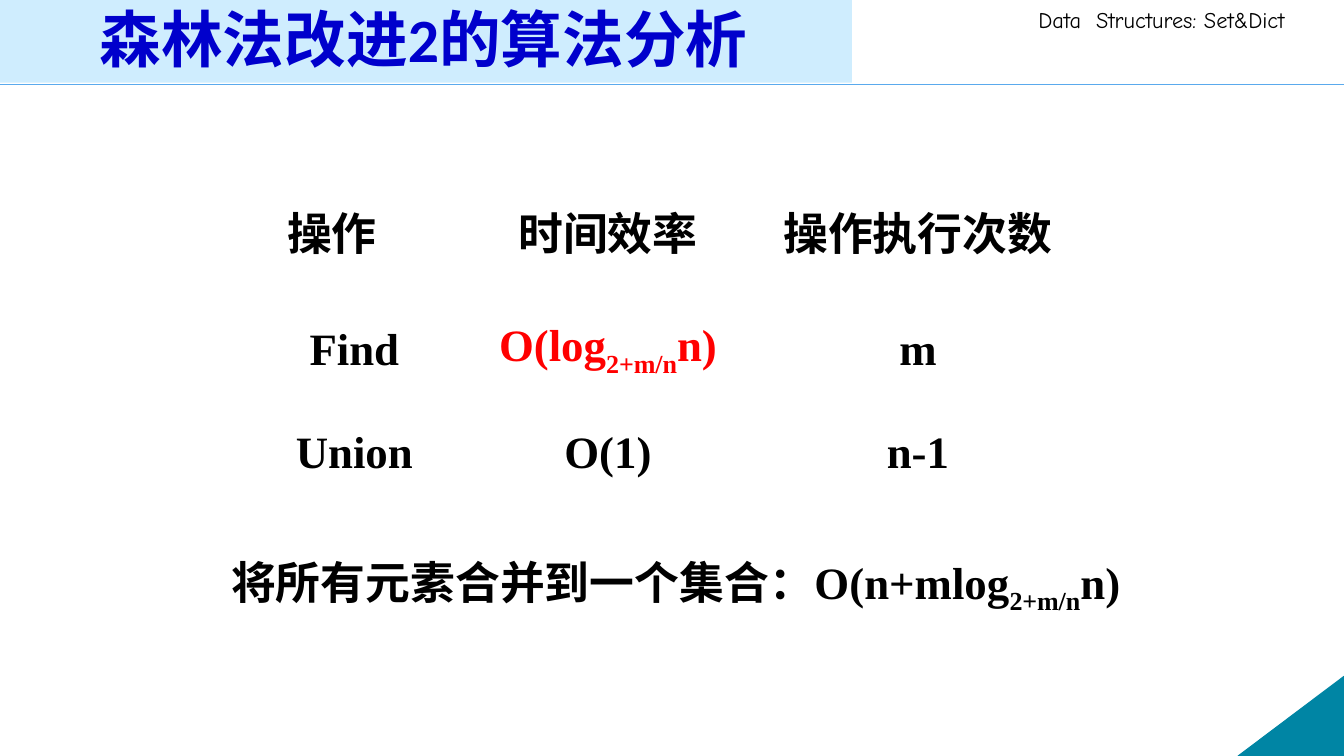
from pptx import Presentation
from pptx.dml.color import RGBColor
from pptx.enum.lang import MSO_LANGUAGE_ID
from pptx.enum.shapes import MSO_CONNECTOR, MSO_SHAPE
from pptx.enum.text import MSO_ANCHOR, PP_ALIGN
from pptx.oxml import parse_xml
from pptx.oxml.ns import nsdecls
from pptx.util import Inches, Pt
from lxml.etree import SubElement

THEME = {
    "band": "CFEDFE", "rule": "5AAAED", "corner": "0085A4", "edge": "FFFFFF",
    "title": ("Calibri", 44, "0000CC", True),
    "head": ("Comic Neue", 16, "000000", False),
    "body": ("Times New Roman", 32, "000000", True),
    "key": ("Times New Roman", 32, "FF0000", True),
}

WIDTH, HEIGHT = 13.33, 7.5
TITLE = [("森林法改进2的算法分析", False)]
HEAD = [("Data  Structures: Set&Dict", False)]
BASE = "2+m/n"
ROWS = [
    ["操作　", "时间效率", "操作执行次数"],
    ["Find", [("O(log", False), (BASE, True), ("n)", False)], "m"],
    ["Union", "O(1)", "n-1"],
]
KEY = (1, 1)
TOTAL = [("　将所有元素合并到一个集合：O(n+mlog", False), (BASE, True), ("n)", False)]
COLS = [2.51, 2.52, 3.63]
TALL = [1.27, 1.1, 0.94]


def color(name):
    return RGBColor.from_string(name)


def write(para, runs, style):
    face, size, ink, bold = THEME[style]
    for text, sub in runs:
        run = para.add_run()
        run.text = text
        font = run.font
        font.name, font.size, font.bold = face, Pt(size), bold
        font.color.rgb = color(ink)
        font.language_id = MSO_LANGUAGE_ID.SIMPLIFIED_CHINESE
        if sub:
            run._r.get_or_add_rPr().set("baseline", "-25000")


def label(slide, box, runs, style, wrap=True):
    frame = slide.shapes.add_textbox(*map(Inches, box)).text_frame
    frame.word_wrap = wrap
    write(frame.paragraphs[0], runs, style)
    return frame


def block(slide, kind, box, fill):
    shape = slide.shapes.add_shape(kind, *map(Inches, box))
    shape.shadow.inherit = False
    shape.fill.solid()
    shape.fill.fore_color.rgb = color(fill)
    shape.line.fill.background()
    return shape


def border(cell):
    props = cell._tc.get_or_add_tcPr()
    for spot, side in enumerate("LRTB"):
        props.insert(spot, parse_xml(
            f'<a:ln{side} {nsdecls("a")} w="6350"><a:solidFill>'
            f'<a:srgbClr val="{THEME["edge"]}"/></a:solidFill></a:ln{side}>'))


def grid(slide):
    box = (2.26, 1.65, sum(COLS), sum(TALL))
    table = slide.shapes.add_table(len(ROWS), len(COLS), *map(Inches, box)).table
    table.first_row = table.horz_banding = False
    for col, width in zip(table.columns, COLS):
        col.width = Inches(width)
    for row, height in zip(table.rows, TALL):
        row.height = Inches(height)
    for r, row in enumerate(ROWS):
        for c, text in enumerate(row):
            cell = table.cell(r, c)
            cell.fill.background()
            cell.vertical_anchor = MSO_ANCHOR.MIDDLE
            cell.margin_left = cell.margin_right = cell.margin_top = Inches(0.01)
            cell.margin_bottom = 0
            border(cell)
            para = cell.text_frame.paragraphs[0]
            para.alignment = PP_ALIGN.CENTER
            runs = [(text, False)] if isinstance(text, str) else text
            write(para, runs, "key" if (r, c) == KEY else "body")


def main():
    deck = Presentation()
    deck.slide_width, deck.slide_height = Inches(WIDTH), Inches(HEIGHT)
    slide = deck.slides.add_slide(deck.slide_layouts[6])

    ends = map(Inches, (0, 0.84, WIDTH, 0.84))
    rule = slide.shapes.add_connector(MSO_CONNECTOR.STRAIGHT, *ends)
    rule.line.color.rgb = color(THEME["rule"])
    rule.line.width = Pt(1)
    props = rule._element.spPr
    SubElement(props, "{http://schemas.openxmlformats.org/drawingml/2006/main}effectLst")

    wide, high = 1.05, 0.79
    place = (WIDTH - wide, HEIGHT - high, wide, high)
    corner = block(slide, MSO_SHAPE.RIGHT_TRIANGLE, place, THEME["corner"])
    corner._element.spPr.xfrm.set("flipH", "1")
    corner.line.color.rgb = color(THEME["corner"])
    corner.line.width = Pt(0.75)

    label(slide, (10.2, 0.01, 3.13, 0.37), HEAD, "head")
    block(slide, MSO_SHAPE.RECTANGLE, (-0.03, -0.07, 8.48, 0.89), THEME["band"])
    title = label(slide, (0.89, 0, 8.5, 0.84), TITLE, "title")
    title.vertical_anchor = MSO_ANCHOR.MIDDLE
    title.paragraphs[0].line_spacing = 0.9
    grid(slide)
    label(slide, (1.75, 5.45, 9.67, 0.64), TOTAL, "body", False)
    deck.save("out.pptx")


if __name__ == "__main__":
    main()
